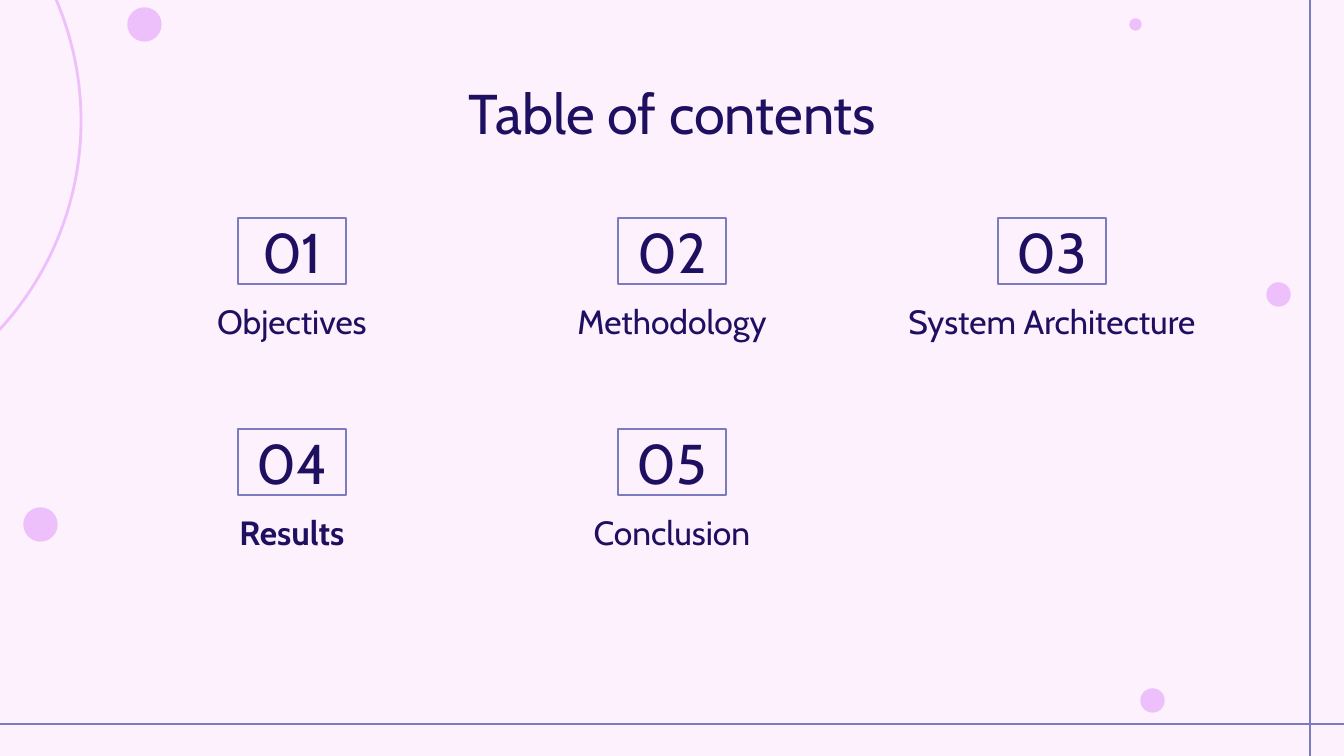
from pptx import Presentation
from pptx.dml.color import RGBColor
from pptx.enum import shapes, text
from pptx.oxml.ns import qn
from pptx.util import Pt
from lxml import etree

PX = 914400 / 134.4  # EMU in one px
THEME = dict(back="FCF1FC", dot="EEC0FB", rule="7B7BBE", ink="1F0F61",
             font="Cabin", head=30, label=18)


def add(kind, x, y, w, h, line, fill=None, width=1.5):
    item = slide.shapes.add_shape(kind, *(round(n * PX) for n in (x, y, w, h)))
    item.shadow.inherit = False
    if fill:
        item.fill.solid()
        item.fill.fore_color.rgb = RGBColor.from_string(THEME[fill])
    else:
        item.fill.background()
    item.line.color.rgb = RGBColor.from_string(THEME[line])
    item.line.width = Pt(width)
    return item


def write(item, words, size, anchor, bold=False):
    frame = item.text_frame
    frame.word_wrap = True
    frame.auto_size = text.MSO_AUTO_SIZE.NONE
    frame.vertical_anchor = anchor
    frame.margin_left = frame.margin_right = round(13 * PX)
    frame.margin_top = frame.margin_bottom = round(13 * PX)
    para = frame.paragraphs[0]
    para.text = words
    para.alignment = text.PP_ALIGN.CENTER
    para.font.name = THEME["font"]
    para.font.size = Pt(THEME[size])
    para.font.bold = bold
    para.font.color.rgb = RGBColor.from_string(THEME["ink"])


deck = Presentation()
deck.slide_width, deck.slide_height = round(1344 * PX), round(756 * PX)
slide = deck.slides.add_slide(deck.slide_layouts[6])
slide.background.fill.solid()
slide.background.fill.fore_color.rgb = RGBColor.from_string(THEME["back"])
OVAL = shapes.MSO_SHAPE.OVAL
RECT = shapes.MSO_SHAPE.RECTANGLE
TOP, MID = text.MSO_ANCHOR.TOP, text.MSO_ANCHOR.MIDDLE

# Large ring and small dots
add(OVAL, -535, -187, 616, 616, "dot")
for x, y, d in ((128, 8, 33), (1141, 689, 23), (1130, 19, 11),
                (1267, 283, 23), (24, 508, 33)):
    add(OVAL, x, y, d, d, "dot", "dot", 0.75)

# Rules along the right and bottom edges
for ends in ((1310, 0, 1310, 756), (0, 724, 1344, 724)):
    rule = slide.shapes.add_connector(
        shapes.MSO_CONNECTOR.STRAIGHT, *(round(n * PX) for n in ends))
    rule.line.color.rgb = RGBColor.from_string(THEME["rule"])
    rule.line.width = Pt(1.5)
    etree.SubElement(rule._element.spPr, qn("a:effectLst"))

# Title
title = slide.shapes.add_textbox(*(round(n * PX) for n in (106, 66, 1133, 85)))
write(title, "Table of contents", "head", TOP)

# Numbered topics, three to a row
topics = ("Objectives", "Methodology", "System Architecture",
          "Results", "Conclusion")
for i, topic in enumerate(topics):
    row, col = divmod(i, 3)
    mid, y = 292 + 380 * col, 218 + 211 * row
    box = add(RECT, mid - 54, y, 108, 66, "rule")
    write(box, f"{i + 1:02}", "head", MID)
    label = slide.shapes.add_textbox(
        *(round(n * PX) for n in (mid - 186, y + 70, 372, 66)))
    write(label, topic, "label", TOP, bold=topic == "Results")

deck.save("out.pptx")
